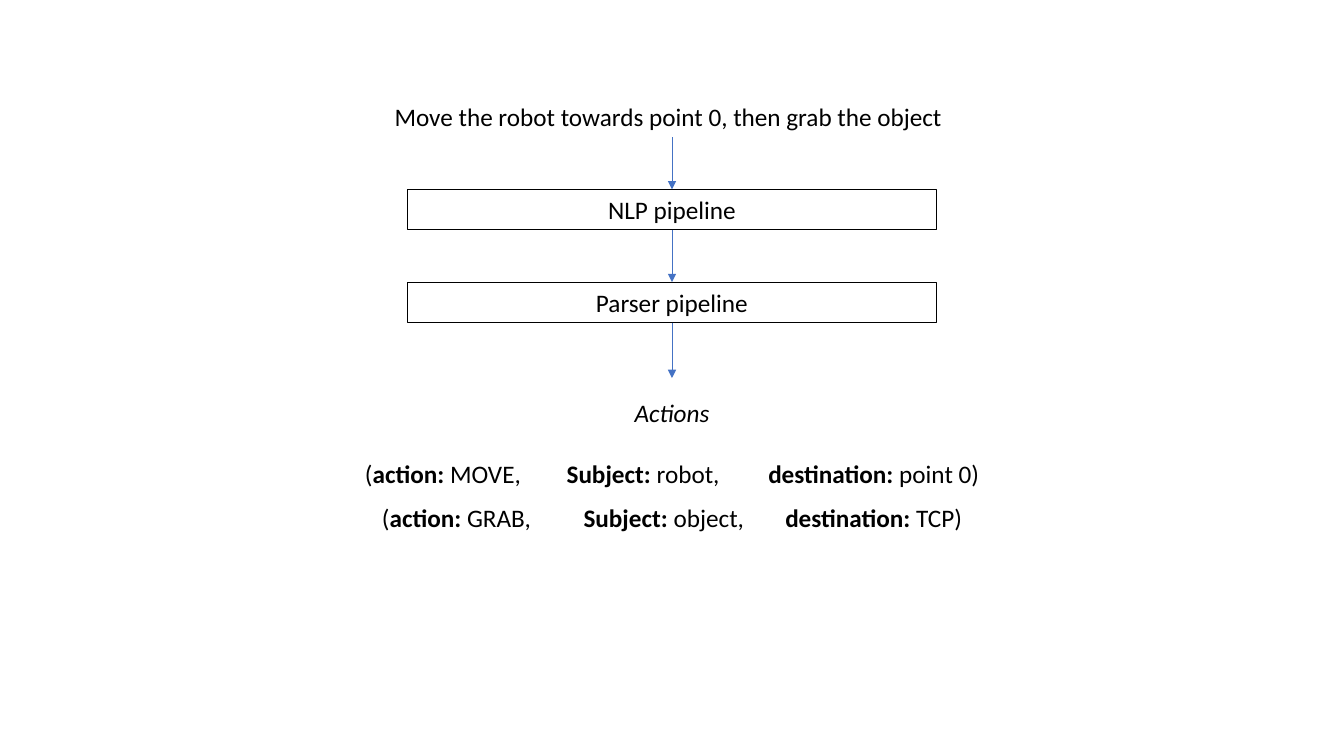
from lxml import etree
from pptx import Presentation
from pptx.dml.color import RGBColor
from pptx.enum.shapes import MSO_CONNECTOR, MSO_SHAPE
from pptx.enum.text import MSO_ANCHOR, PP_ALIGN
from pptx.oxml.ns import qn
from pptx.util import Inches, Pt

BLACK = RGBColor(0x00, 0x00, 0x00)
BLUE = RGBColor(0x44, 0x72, 0xC4)
RECTANGLE = MSO_SHAPE.RECTANGLE
STRAIGHT = MSO_CONNECTOR.STRAIGHT
TOP = MSO_ANCHOR.TOP
LEFT, CENTER = PP_ALIGN.LEFT, PP_ALIGN.CENTER

SLIDE_WIDTH, SLIDE_HEIGHT = Inches(13.33), Inches(7.5)
FLOW_TOP = Inches(0.96)
ROW_HEIGHT = Inches(0.4)
ROW_PITCH = Inches(0.92)
TOP_SIDE, BOTTOM_SIDE = 0, 2

SENTENCE = "Move the robot towards point 0, then grab the object"
STAGES = ["NLP pipeline", "Parser pipeline"]
ACTIONS = [("MOVE", "robot", "point 0"), ("GRAB", "object", "TCP")]
ACTION_GAPS = [22, 9.8]


def centered_box(width, top, height):
    return (SLIDE_WIDTH - width) // 2, top, width, height


def add_para(frame, spans, align, is_first, space_before=0):
    para = frame.paragraphs[0] if is_first else frame.add_paragraph()
    para.alignment = align
    para.space_before = Pt(space_before)
    for text, formats in spans:
        span = para.add_run()
        span.text = text
        span.font.color.rgb = BLACK
        for name, value in {"name": "Calibri", "size": Pt(18), **formats}.items():
            setattr(span.font, name, value)
    return para


def add_sentence(page, box):
    sentence = page.shapes.add_textbox(*box)
    sentence.text_frame.word_wrap = True
    add_para(sentence.text_frame, [(SENTENCE, {})], LEFT, True)
    return sentence


def add_stage(page, box, title):
    stage = page.shapes.add_shape(RECTANGLE, *box)
    stage.shadow.inherit = False
    stage.fill.background()
    stage.line.color.rgb = BLACK
    stage.line.width = Pt(0.75)
    stage.text_frame.word_wrap = True
    stage.text_frame.vertical_anchor = TOP
    add_para(stage.text_frame, [(title, {})], CENTER, True)
    return stage


def add_actions(page, box):
    actions = page.shapes.add_textbox(*box)
    frame = actions.text_frame
    frame.word_wrap = True
    frame.margin_top = Inches(0.19)
    add_para(frame, [("Actions", {"italic": True})], CENTER, True)
    for (action, subject, destination), gap in zip(ACTIONS, ACTION_GAPS):
        spans = [
            ("(", {}),
            ("action:", {"bold": True}),
            (f" {action}, \t", {}),
            ("Subject:", {"bold": True}),
            (f" {subject}, \t", {}),
            ("destination:", {"bold": True}),
            (f" {destination})", {}),
        ]
        para = add_para(frame, spans, CENTER, False, gap)
        para._p.get_or_add_pPr().set("defTabSz", str(Inches(1)))
    return actions


def add_arrow(page, source, target):
    arrow = page.shapes.add_connector(STRAIGHT, 0, 0, 0, 0)
    arrow.begin_connect(source, BOTTOM_SIDE)
    arrow.end_connect(target, TOP_SIDE)
    arrow.line.color.rgb = BLUE
    arrow.line.width = Pt(0.5)
    etree.SubElement(arrow.line._get_or_add_ln(), qn("a:tailEnd"), type="triangle")
    etree.SubElement(arrow._element.spPr, qn("a:effectLst"))


def add_flow(page):
    steps = [add_sentence(page, centered_box(Inches(5.7), FLOW_TOP, ROW_HEIGHT))]
    for row, title in enumerate(STAGES, 1):
        box = centered_box(Inches(5.24), FLOW_TOP + row * ROW_PITCH, ROW_HEIGHT)
        steps.append(add_stage(page, box, title))
    steps.append(add_actions(page, centered_box(Inches(7.49), Inches(3.75), Inches(2.19))))
    for source, target in zip(steps, steps[1:]):
        add_arrow(page, source, target)


def main():
    deck = Presentation()
    deck.slide_width, deck.slide_height = SLIDE_WIDTH, SLIDE_HEIGHT
    page = deck.slides.add_slide(deck.slide_layouts[6])
    add_flow(page)
    deck.save("out.pptx")


if __name__ == "__main__":
    main()
